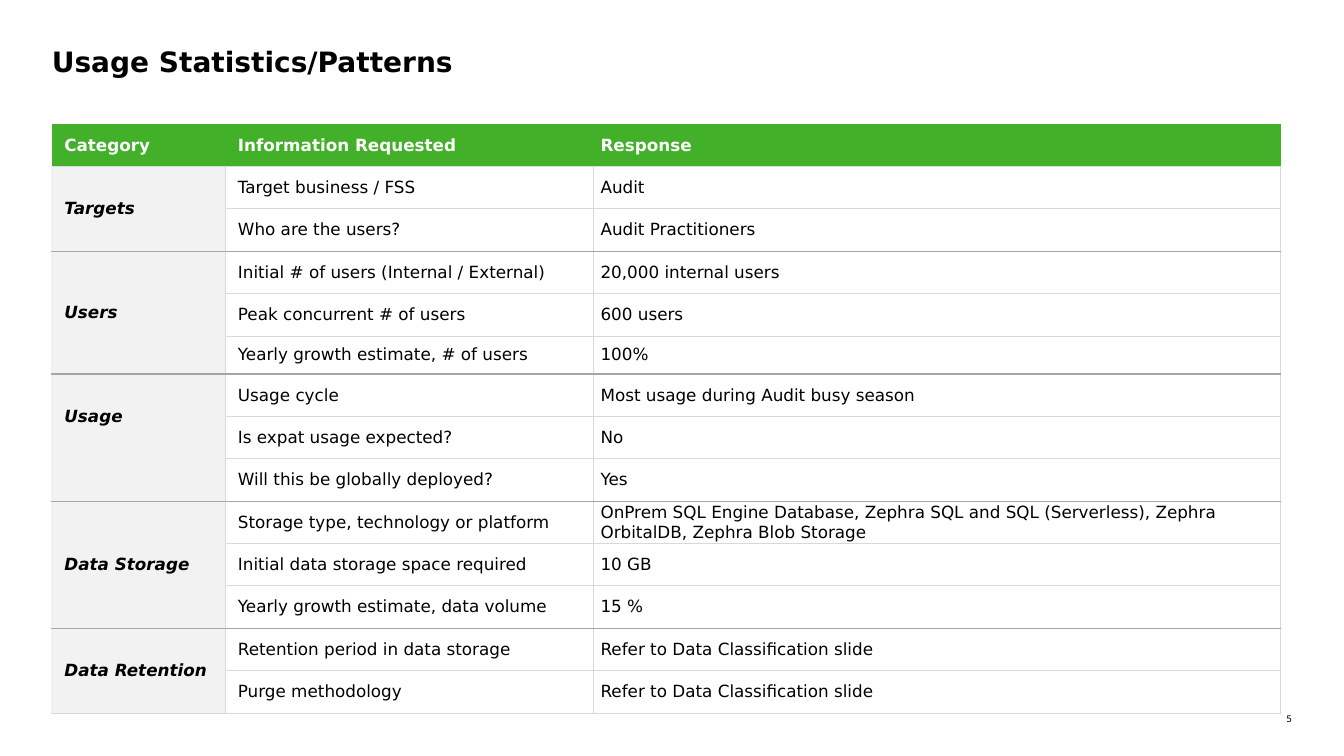
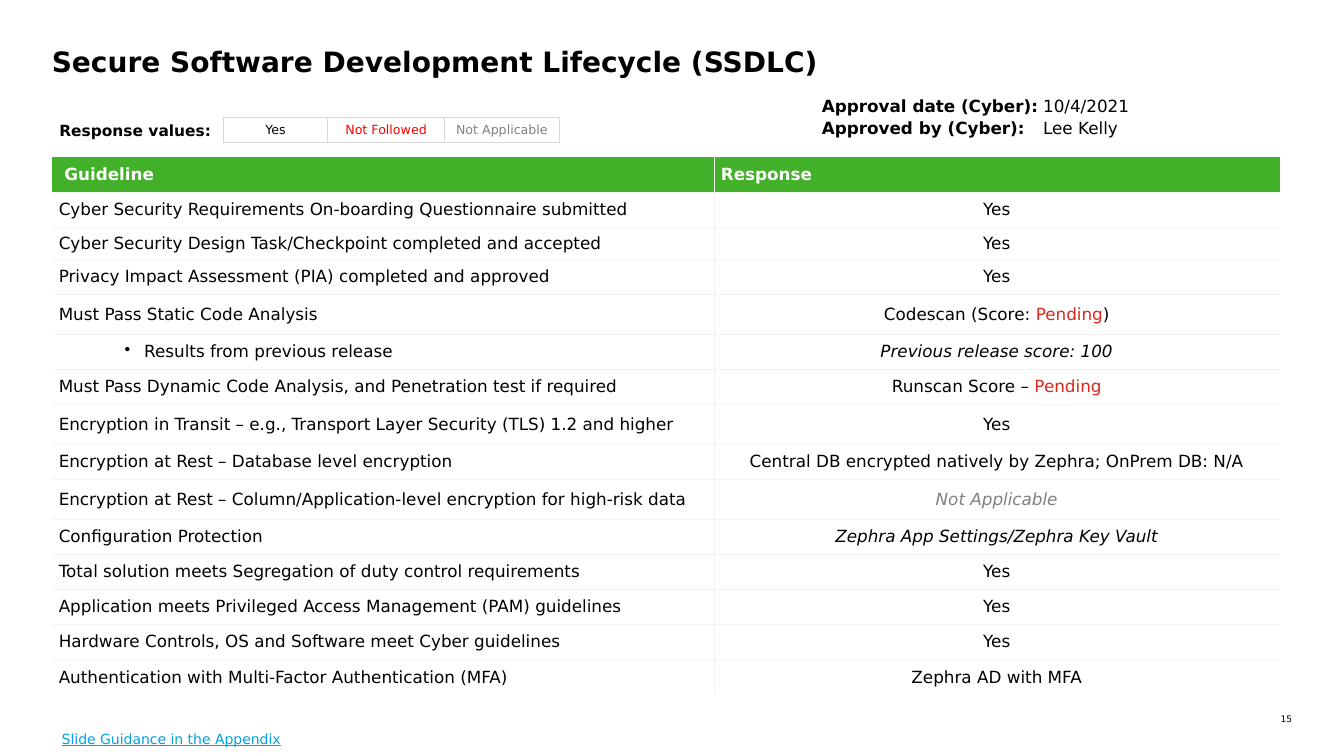
from lxml import etree
from pptx import Presentation
from pptx.dml.color import RGBColor
from pptx.enum.text import MSO_ANCHOR, PP_ALIGN
from pptx.oxml.ns import qn
from pptx.util import Pt

TOP, MID = MSO_ANCHOR.TOP, MSO_ANCHOR.MIDDLE
LEFT, MIDST, RIGHT = PP_ALIGN.LEFT, PP_ALIGN.CENTER, PP_ALIGN.RIGHT

BLACK = RGBColor(0x00, 0x00, 0x00)
WHITE = RGBColor(0xFF, 0xFF, 0xFF)
GREEN = RGBColor(0x43, 0xB0, 0x2A)
PALE = RGBColor(0xF2, 0xF2, 0xF2)
LIGHT = RGBColor(0xD9, 0xD9, 0xD9)
DARK = RGBColor(0xA6, 0xA6, 0xA6)
GREY = RGBColor(0x80, 0x80, 0x80)
RED = RGBColor(0xFF, 0x00, 0x00)
BRICK = RGBColor(0xDA, 0x29, 0x1C)
BLUE = RGBColor(0x00, 0xA3, 0xE0)

EDGE = 37           # left edge of title and tables
INSET, DEEP = 5, 9  # cell padding, plain and indented
PLAIN = "{2D5ABB26-0587-4C30-8999-92F81FD0307C}"  # no style, no grid

HEAD = dict(bold=True, color=WHITE)
NAME = dict(bold=True, italic=True)
SLANT = dict(italic=True)

GROUPS = [  # category, rows its name spans, questions with answers
    ("Targets", 2, [
        ("Target business / FSS", "Audit"),
        ("Who are the users?", "Audit Practitioners")]),
    ("Users", 3, [
        ("Initial # of users (Internal / External)", "20,000 internal users"),
        ("Peak concurrent # of users", "600 users"),
        ("Yearly growth estimate, # of users", "100%")]),
    ("Usage", 2, [
        ("Usage cycle", "Most usage during Audit busy season"),
        ("Is expat usage expected?", "No"),
        ("Will this be globally deployed?", "Yes")]),
    ("Data Storage", 3, [
        ("Storage type, technology or platform",
         "OnPrem SQL Engine Database, Zephra SQL and SQL (Serverless), "
         "Zephra OrbitalDB, Zephra Blob Storage"),
        ("Initial data storage space required", "10 GB"),
        ("Yearly growth estimate, data volume", "15 %")]),
    ("Data Retention", 2, [
        ("Retention period in data storage",
         "Refer to Data Classification slide"),
        ("Purge methodology", "Refer to Data Classification slide")]),
]

BULLET = "Results from previous release"
PENDING = ("Pending", dict(color=BRICK))
RULES = [  # guideline, response, row height
    ("Cyber Security Requirements On-boarding Questionnaire submitted",
     "Yes", 25.1),
    ("Cyber Security Design Task/Checkpoint completed and accepted",
     "Yes", 23),
    ("Privacy Impact Assessment (PIA) completed and approved", "Yes", 25.1),
    ("Must Pass Static Code Analysis",
     [("Codescan (Score: ", {}), PENDING, (")", {})], 28.4),
    (BULLET, [("Previous release score: 100", SLANT)], 25.1),
    ("Must Pass Dynamic Code Analysis, and Penetration test if required",
     [("Runscan Score – ", {}), PENDING], 25.1),
    ("Encryption in Transit – e.g., Transport Layer Security (TLS) 1.2 "
     "and higher", "Yes", 28.4),
    ("Encryption at Rest – Database level encryption",
     "Central DB encrypted natively by Zephra; OnPrem DB: N/A", 25.1),
    ("Encryption at Rest – Column/Application-level encryption for "
     "high-risk data",
     [("Not Applicable", dict(italic=True, color=GREY))], 28.4),
    ("Configuration Protection",
     [("Zephra App Settings/Zephra Key Vault", SLANT)], 25.1),
    ("Total solution meets Segregation of duty control requirements",
     "Yes", 25.1),
    ("Application meets Privileged Access Management (PAM) guidelines",
     "Yes", 25.1),
    ("Hardware Controls, OS and Software meet Cyber guidelines",
     "Yes", 25.1),
    ("Authentication with Multi-Factor Authentication (MFA)",
     "Zephra AD with MFA", 25.1),
]


class Deck:
    """Holds the shared style and the slide being filled."""
    base = dict(name="DejaVu Sans", size=12, bold=False, color=BLACK)

    def __init__(self):
        self.show = Presentation()
        self.show.slide_width, self.show.slide_height = Pt(960), Pt(540)
        self.slide = None

    def page(self, title, number):
        self.slide = self.show.slides.add_slide(self.show.slide_layouts[5])
        head = self.slide.shapes.title
        self.place(head, EDGE, 31.7, 886, 34)
        self.frame(head.text_frame, title, pad=0, anchor=TOP,
                   size=20, bold=True)
        self.text(number, 898.5, 509.8, 24.5, 8, pad=0, anchor=TOP,
                  align=RIGHT, size=6.5)

    def place(self, shape, *box):
        for key, value in zip(("left", "top", "width", "height"), box):
            setattr(shape, key, Pt(value))

    def frame(self, frame, text, pad, anchor, **look):
        frame.word_wrap = True
        frame.vertical_anchor = anchor
        for side in ("left", "right", "top", "bottom"):
            setattr(frame, "margin_" + side, Pt(pad))
        return self.fill(frame.paragraphs[0], text, **look)

    def fill(self, para, text, align=LEFT, **look):
        """Fill a paragraph from a string or from (text, format) runs."""
        para.alignment = align
        runs = [(text, {})] if isinstance(text, str) else text
        for words, extra in runs:
            run = para.add_run()
            run.text = words
            for key, value in {**self.base, **look, **extra}.items():
                if key == "color":
                    run.font.color.rgb = value
                else:
                    setattr(run.font, key,
                            Pt(value) if key == "size" else value)
        return para

    def text(self, text, left, top, width, height, pad=7.2, anchor=MID,
             **look):
        box = self.slide.shapes.add_textbox(
            Pt(left), Pt(top), Pt(width), Pt(height))
        self.frame(box.text_frame, text, pad, anchor, **look)
        return box.text_frame

    def grid(self, left, top, cols, rows):
        """Add an unstyled table with the given widths and heights."""
        table = self.slide.shapes.add_table(
            len(rows), len(cols), Pt(left), Pt(top),
            Pt(sum(cols)), Pt(sum(rows))).table
        table.horz_banding = False
        props = table._tbl.tblPr
        props.find(qn("a:tableStyleId")).text = PLAIN
        for col, width in zip(table.columns, cols):
            col.width = Pt(width)
        for row, height in zip(table.rows, rows):
            row.height = Pt(height)
        return table

    def cell(self, cell, text, fill=WHITE, edges=None, pad=INSET, **look):
        """Fill a cell; edges maps L, R, T, B to a line colour."""
        cell.vertical_anchor = MID
        cell.margin_left, cell.margin_right = Pt(pad), Pt(INSET)
        cell.margin_top = cell.margin_bottom = 0
        props = cell._tc.get_or_add_tcPr()
        for side in "LRTB":
            tone = (edges or {}).get(side)
            wide = 1 if tone == DARK else 0.75
            line = etree.SubElement(props, qn("a:ln" + side),
                                    w=str(Pt(wide if tone else 0)))
            if tone:
                solid = etree.SubElement(line, qn("a:solidFill"))
                etree.SubElement(solid, qn("a:srgbClr"), val=str(tone))
            else:
                etree.SubElement(line, qn("a:noFill"))
        cell.fill.solid()
        cell.fill.fore_color.rgb = fill
        para = cell.text_frame.paragraphs[0]
        return self.fill(para, text, **look) if text else para

    def bullet(self, para, left, hang):
        props = para._p.get_or_add_pPr()
        props.set("marL", str(Pt(left)))
        props.set("indent", str(Pt(-hang)))
        etree.SubElement(props, qn("a:buChar"), char="•")

    def tab(self, para, spot):
        stops = etree.SubElement(para._p.get_or_add_pPr(), qn("a:tabLst"))
        etree.SubElement(stops, qn("a:tab"), pos=str(Pt(spot)), algn="l")


def usage(deck):
    deck.page("Usage Statistics/Patterns", "5")
    rows = [30.3] * 14
    rows[5] = 27.2
    table = deck.grid(EDGE, 88.6, [124, 263, 491], rows)
    pads = (DEEP, DEEP, INSET)
    heads = ("Category", "Information Requested", "Response")
    for col, (head, pad) in enumerate(zip(heads, pads)):
        deck.cell(table.cell(0, col), head, GREEN, {"B": LIGHT}, pad, **HEAD)
    first = 1
    for name, span, pairs in GROUPS:
        last = first + len(pairs) - 1
        over = DARK if first > 1 else LIGHT
        under = DARK if last < len(rows) - 1 else LIGHT
        table.cell(first, 0).merge(table.cell(first + span - 1, 0))
        for row, pair in enumerate(pairs, first):
            start = row == first
            lines = {"L": LIGHT, "R": LIGHT, "T": over if start else LIGHT,
                     "B": under if row == last else LIGHT}
            side = {"L": PALE, "R": LIGHT}
            if start:
                side["T"] = over
            if row == last or start and span == len(pairs):
                side["B"] = under
            deck.cell(table.cell(row, 0), name if start else "", PALE, side,
                      DEEP, **NAME)
            for col, words in enumerate(pair, 1):
                deck.cell(table.cell(row, col), words, WHITE, lines,
                          pads[col])
        first = last + 1


def secure(deck):
    deck.page("Secure Software Development Lifecycle (SSDLC)", "15")
    bold = dict(bold=True)
    facts = [("Approval date (Cyber):", "10/4/2021"),
             ("Approved by (Cyber):", "Lee Kelly")]
    frame = deck.text([], 580, 60.5, 334, 45)
    for num, (label, value) in enumerate(facts):
        para = frame.add_paragraph() if num else frame.paragraphs[0]
        deck.tab(para, 158)
        deck.fill(para, [(label, bold), ("\t" + value, {})])
        para.line_spacing = 1.06

    deck.text("Response values:", 35.3, 82.8, 141, 21, size=11, bold=True)
    key = deck.grid(159.5, 83.8, [74.5, 83.5, 82], [18])
    marks = [("Yes", BLACK), ("Not Followed", RED), ("Not Applicable", GREY)]
    for col, (mark, tone) in enumerate(marks):
        deck.cell(key.cell(0, col), mark, WHITE, dict.fromkeys("LRTB", LIGHT),
                  align=MIDST, size=9, color=tone)

    deck.text("Slide Guidance in the Appendix", EDGE, 515.5, 217.5, 24.5,
              size=10, color=BLUE, underline=True)

    table = deck.grid(EDGE, 112.2, [473, 404],
                      [25.1] + [rule[2] for rule in RULES])
    heads = (("Guideline", DEEP, "R"), ("Response", INSET, "L"))
    for col, (head, pad, side) in enumerate(heads):
        deck.cell(table.cell(0, col), head, GREEN, {side: PALE, "B": PALE},
                  pad, **HEAD)
    for row, (rule, reply, _) in enumerate(RULES, 1):
        lines = {"T": PALE}
        if row < len(RULES):
            lines["B"] = PALE
        para = deck.cell(table.cell(row, 0), rule, WHITE,
                         {**lines, "R": PALE})
        if rule == BULLET:
            deck.bullet(para, 61, 14)
        deck.cell(table.cell(row, 1), reply, WHITE, {**lines, "L": PALE},
                  align=MIDST)


def main():
    deck = Deck()
    usage(deck)
    secure(deck)
    deck.show.save("out.pptx")


if __name__ == "__main__":
    main()
